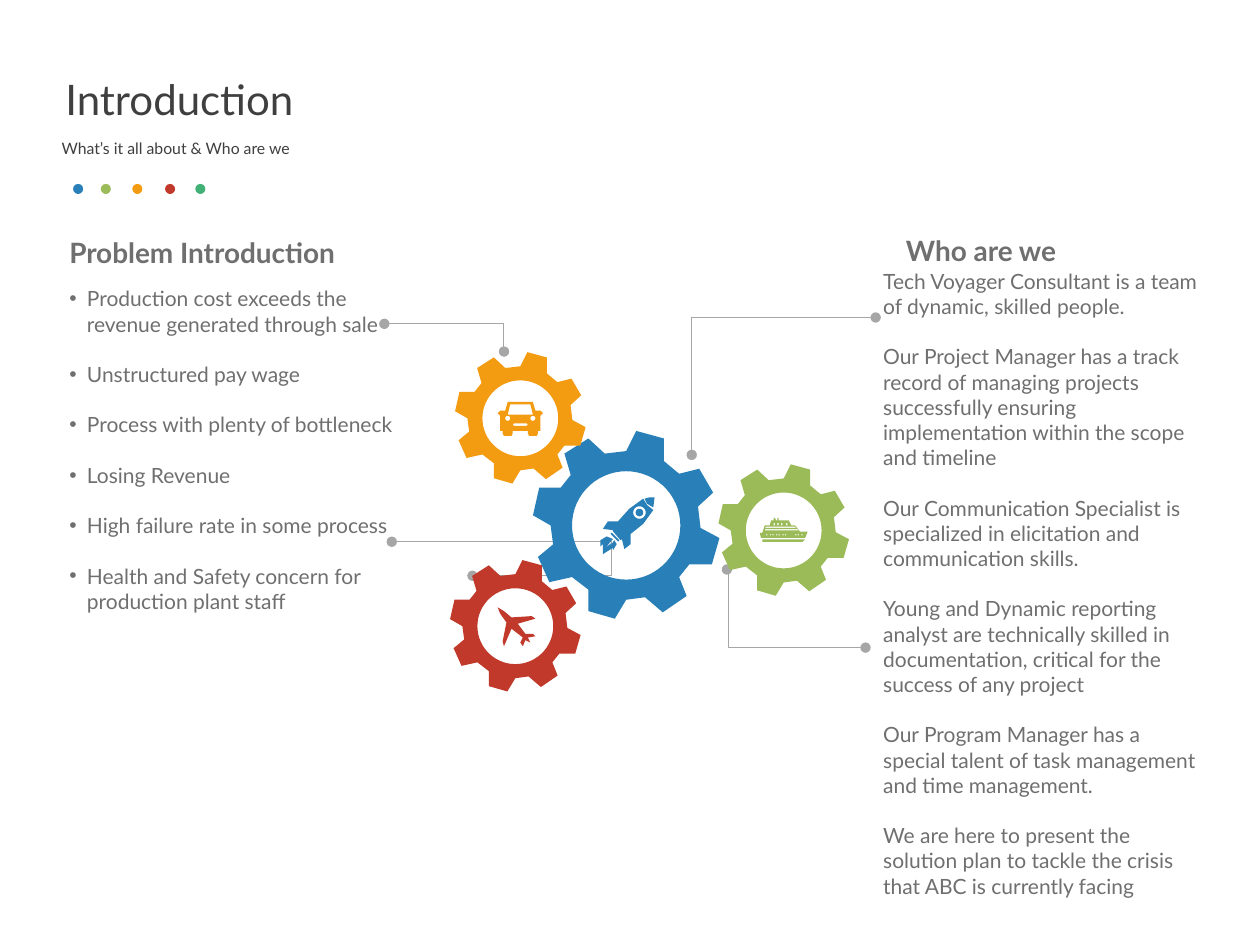
from dataclasses import dataclass
from math import cos, pi, sin, sqrt

from lxml.etree import SubElement
from pptx import Presentation
from pptx.dml.color import RGBColor
from pptx.enum.shapes import MSO_CONNECTOR, MSO_SHAPE
from pptx.enum.text import MSO_ANCHOR, MSO_AUTO_SIZE
from pptx.oxml.ns import qn
from pptx.util import Pt

PX = 9144


@dataclass(frozen=True)
class Theme:
    font: str = "Lato"
    dark: str = "3F3F3F"
    text: str = "6F6F6F"
    line: str = "A6A6A6"
    blue: str = "2980B9"
    lime: str = "9BBB59"
    orange: str = "F39C12"
    red: str = "C0392B"
    green: str = "41B176"
    title: int = 24
    subtitle: int = 9
    heading: int = 16
    body: int = 12
    blank_line: float = 14.4


T = Theme()

GEAR = [(8, -75), (30, -69), (30, -51), (42, -41), (58, -45), (69, -26), (57, -15), (59, 2),
        (74, 10), (68, 31), (50, 31), (42, 41), (48, 56), (29, 69), (15, 57), (0, 59),
        (-9, 74), (-30, 68), (-30, 51), (-43, 41), (-61, 45), (-70, 25), (-58, 15), (-60, 0),
        (-74, -8), (-69, -30), (-52, -30), (-44, -40), (-49, -57), (-30, -69), (-17, -57), (0, -59)]


def px(n):
    return round(n * PX)


def rgb(color):
    return RGBColor.from_string(color)


def paint(sp, color):
    sp.shadow.inherit = False
    sp.fill.solid()
    sp.fill.fore_color.rgb = rgb(color)
    sp.line.fill.background()
    return sp


def circle(cx, cy, r, steps=24):
    angles = [2 * pi * i / steps for i in range(steps)]
    return [(cx + r * cos(a), cy + r * sin(a)) for a in angles]


def rect(x, y, w, h):
    return [(x, y), (x + w, y), (x + w, y + h), (x, y + h)]


def outline(s, x, y, contours, color):
    placed = [[(px(x + a), px(y + b)) for a, b in c] for c in contours]
    fb = s.shapes.build_freeform(*placed[0][0], scale=1.0)
    for i, points in enumerate(placed):
        if i:
            fb.move_to(*points[0])
        fb.add_line_segments(points[1:], close=True)
    return paint(fb.convert_to_shape(), color)


def text_box(s, box, paras, size, color=T.text, bold=False, left=0, spacing=1.0,
             anchor=MSO_ANCHOR.TOP, bullet=False, gap=0):
    tf = s.shapes.add_textbox(*map(px, box)).text_frame
    tf.word_wrap = True
    tf.auto_size = MSO_AUTO_SIZE.NONE
    tf.vertical_anchor = anchor
    tf.margin_left, tf.margin_right = px(left), px(10)
    tf.margin_top = tf.margin_bottom = px(5)
    for i, words in enumerate(paras):
        p = tf.add_paragraph() if i else tf.paragraphs[0]
        p.line_spacing = spacing
        if i:
            p.space_before = Pt(gap)
        if bullet:
            pPr = p._p.get_or_add_pPr()
            pPr.set("marL", str(px(14)))
            pPr.set("indent", str(px(-14)))
            SubElement(pPr, qn("a:buFont"), typeface="Arial")
            SubElement(pPr, qn("a:buChar"), char="•")
        r = p.add_run()
        r.text = words
        r.font.name, r.font.size, r.font.bold = T.font, Pt(size), bold
        r.font.color.rgb = rgb(color)


def header(s, x, y, w):
    text_box(s, (x + 3, y, w, 53), ["Introduction"], T.title, T.dark,
             left=10, spacing=0.9, anchor=MSO_ANCHOR.BOTTOM)
    text_box(s, (x, y + 56, w, 29), ["What’s it all about & Who are we"], T.subtitle, T.dark,
             left=10, spacing=0.9)
    for dx, color in zip((19, 41, 66, 92, 116), (T.blue, T.lime, T.orange, T.red, T.green)):
        paint(s.shapes.add_shape(MSO_SHAPE.OVAL, *map(px, (x + dx, y + 95, 8, 8))), color)


def column(s, box, heading, heading_box, paras, bullet=False):
    x, y, w, h = box
    hx, hy, hw, hh = heading_box
    text_box(s, (x + hx, y + hy, hw, hh), [heading], T.heading, bold=True, anchor=MSO_ANCHOR.MIDDLE)
    text_box(s, box, paras, T.body, bullet=bullet, gap=T.blank_line)


def callout(s, start, end, bend):
    c = s.shapes.add_connector(MSO_CONNECTOR.ELBOW, *map(px, start + end))
    c.line.color.rgb = rgb(T.line)
    c.line.width = Pt(0.5)
    spPr = c._element.spPr
    SubElement(spPr.prstGeom.get_or_add_avLst(), qn("a:gd"), name="adj1", fmla=f"val {round(bend * 100000)}")
    ln = c.line._get_or_add_ln()
    for tag in ("a:headEnd", "a:tailEnd"):
        SubElement(ln, qn(tag), type="oval")
    SubElement(spPr, qn("a:effectLst"))


def gear(s, cx, cy, color, scale=1.0):
    teeth = [(a * scale, b * scale) for a, b in GEAR]
    outline(s, cx, cy, [teeth, circle(0, 0, 43 * scale, 60)], color)


def car(s, x, y):
    body = [(8, 0), (28, 0), (30, 7), (34, 7), (36, 9), (34, 11), (34, 23), (32, 23),
            (32, 25), (31, 27), (25, 27), (24, 25), (24, 23), (12, 23), (12, 25), (11, 27),
            (5, 27), (4, 25), (4, 23), (2, 23), (2, 11), (0, 9), (2, 7), (6, 7)]
    window = [(10, 2), (26, 2), (28, 10), (8, 10)]
    grille = [(13, 17), (23, 17), (24, 18), (23, 19), (13, 19), (12, 18)]
    outline(s, x, y, [body, window, grille, circle(8, 13, 2), circle(28, 13, 2)], T.orange)


def ship(s, x, y):
    hull = [(14, 0), (15, 0), (15, 2), (23, 2), (25, 6), (28, 6), (32, 11), (38, 11), (36, 16),
            (1, 16), (0, 12), (2, 12), (4, 6), (8, 6), (9, 2), (11, 2), (11, 0), (12, 0),
            (13, 2), (14, 2)]
    keel = [(2, 17), (36, 17), (34, 19), (2, 19)]
    decks = [[(5, 7), (28, 7), (29, 8), (4, 8)], [(4, 9), (30, 9), (31, 10), (4, 10)]]
    cabins = [rect(a, 4, 1, 2) for a in (11, 14, 17, 21)]
    portholes = [rect(a, 13, 1, 1) for a in (5, 8, 10, 13, 15, 18, 20, 28, 30, 33)]
    outline(s, x, y, [hull, keel] + decks + cabins + portholes, T.lime)


def plane(s, x, y):
    body = [(30, 23), (24, 24), (26, 28), (22, 26), (20, 31), (18, 28), (20, 24), (11, 17),
            (5, 31), (4, 27), (7, 12), (2, 5), (0, 0), (5, 3), (11, 8), (27, 7), (30, 9),
            (16, 13), (22, 21), (28, 21)]
    outline(s, x, y, [body], T.red)


def rocket(s, x, y):
    flame = [(11, 33), (5, 40), (10, 36), (8, 40), (12, 34), (14, 37), (11, 42), (11, 40),
             (3, 45), (3, 37), (1, 39), (1, 34), (6, 31)]
    strut = [(10, 28), (16, 34), (15, 35), (9, 29)]
    body = [(35, 1), (38, 6), (43, 10), (35, 21), (25, 29), (25, 37), (20, 41), (18, 33),
            (17, 34), (11, 27), (11, 26), (3, 25), (7, 19), (15, 19), (24, 9)]
    nose = [(44, 0), (43, 8), (38, 5), (36, 1), (40, 0)]
    tilted = [body, circle(32, 12, 5), circle(32, 12, 3), nose, strut, flame]
    mid, k = 22, 1 / sqrt(2)
    upright = [[(mid + (a + b - 2 * mid) * k, mid + (b - a) * k) for a, b in c] for c in tilted]
    outline(s, x, y, upright, T.blue).rotation = 45


def gear_train(s, x, y):
    for start, end, bend in [((188, 81), (334, -28), -0.003), ((326, 234), (216, 172), 0.989),
                             ((-50, 150), (14, 177), 2.727), ((-56, -23), (39, -1), 0.999)]:
        callout(s, (x + start[0], y + start[1]), (x + end[0], y + end[1]), bend)
    gear(s, x + 136, y + 137, T.blue)
    for cx, cy, color in [(261, 141, T.lime), (52, 52, T.orange), (48, 217, T.red)]:
        gear(s, x + cx, y + cy, color, 0.7)
    car(s, x + 34, y + 39)
    ship(s, x + 242, y + 131)
    plane(s, x + 34, y + 202)
    rocket(s, x + 115, y + 115)


def main():
    prs = Presentation()
    prs.slide_width, prs.slide_height = px(1000), px(750)
    s = prs.slides.add_slide(prs.slide_layouts[6])
    header(s, 39, 51, 915)
    column(s, (701, 208, 263, 515), "Who are we", (18, -28, 225, 37), [
        "Tech Voyager Consultant is a team of dynamic, skilled people.",
        "Our Project Manager has a track record of managing projects successfully ensuring "
        "implementation within the scope and timeline",
        "Our Communication Specialist is specialized in elicitation and communication skills.",
        "Young and Dynamic reporting analyst are technically skilled in documentation, "
        "critical for the success of any project",
        "Our Program Manager has a special talent of task management and time management.",
        "We are here to present the solution plan to tackle the crisis that ABC is currently facing",
    ])
    column(s, (55, 222, 273, 293), "Problem Introduction", (0, -40, 273, 37), [
        "Production cost exceeds the revenue generated through sale",
        "Unstructured pay wage",
        "Process with plenty of bottleneck",
        "Losing Revenue",
        "High failure rate in some process",
        "Health and Safety concern for production plant staff",
    ], bullet=True)
    gear_train(s, 361, 280)
    prs.save("out.pptx")


if __name__ == "__main__":
    main()
